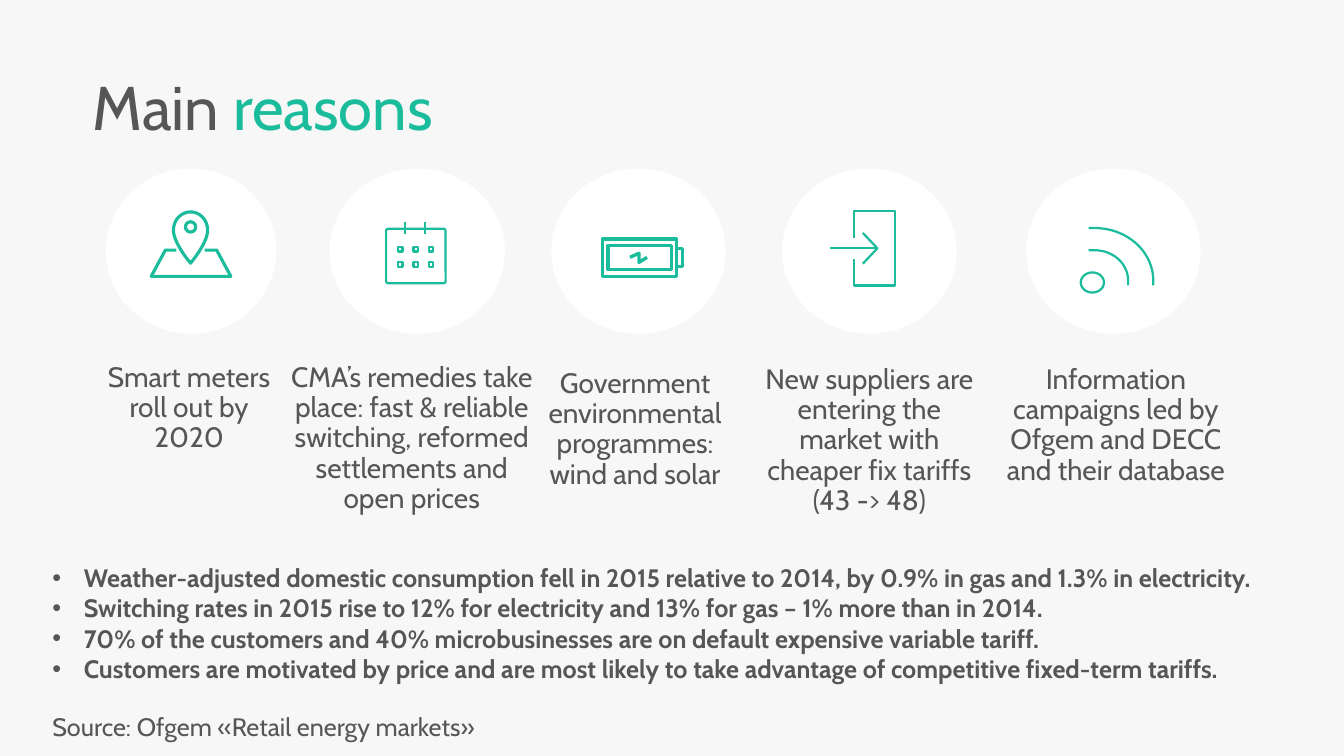
from math import cos, pi, sin

from lxml.etree import SubElement
from pptx import Presentation
from pptx.dml.color import RGBColor
from pptx.enum.shapes import MSO_SHAPE
from pptx.enum.text import PP_ALIGN
from pptx.oxml.ns import qn
from pptx.util import Pt

FONT, GREY, TEAL, WHITE, PAPER = "Cabin", "565656", "1ABC9C", "FFFFFF", "F7F7F7"


def color(value):
    """Turn a hex string into a colour."""
    return RGBColor.from_string(value)


def style(sp, fill=None, line=None, weight=1.6):
    """Give a shape its fill and line, without shadow."""
    sp.shadow.inherit = False
    if fill:
        sp.fill.solid()
        sp.fill.fore_color.rgb = color(fill)
    else:
        sp.fill.background()
    if line:
        sp.line.color.rgb = color(line)
        sp.line.width = Pt(weight)
    else:
        sp.line.fill.background()
    return sp


def preset(s, kind, x, y, w, h, **look):
    """Add a preset shape."""
    return style(s.shapes.add_shape(kind, Pt(x), Pt(y), Pt(w), Pt(h)), **look)


def stroke(s, x, y, points, weight=1.6, close=False):
    """Draw a teal line through points relative to x, y."""
    pts = [(Pt(x + px), Pt(y + py)) for px, py in points]
    builder = s.shapes.build_freeform(*pts[0])
    builder.add_line_segments(pts[1:], close=close)
    return style(builder.convert_to_shape(), line=TEAL, weight=weight)


def arc(cx, cy, rx, ry, start, end, steps=32):
    """List points along an elliptical arc, angles in half turns."""
    angles = [pi * (start + (end - start) * i / steps) for i in range(steps + 1)]
    return [(cx + rx * cos(a), cy + ry * sin(a)) for a in angles]


def bezier(a, b, c, d, steps=16):
    """List points along a cubic curve."""
    ts = [i / steps for i in range(steps + 1)]
    return [tuple((1 - t) ** 3 * p + 3 * t * (1 - t) ** 2 * q
                  + 3 * t * t * (1 - t) * u + t ** 3 * v
                  for p, q, u, v in zip(a, b, c, d)) for t in ts]


def map_pin(s, x, y):
    """Draw a pin standing on a map."""
    cx, cy, r, tip = 60.5, 44, 12.2, (60.5, 67.6)
    right = bezier((cx + r, cy), (cx + r, cy + 9.4), tip, tip)
    left = [(2 * cx - px, py) for px, py in reversed(right)]
    stroke(s, x, y, arc(cx, cy, r, 13, 1, 2) + right[1:] + left[1:-1], 2.25, True)
    preset(s, MSO_SHAPE.OVAL, x + cx - 3.7, y + 38, 7.4, 7.4, line=TEAL, weight=2.25)
    stroke(s, x, y, [(50.4, 58.3), (42.5, 58.3), (32.4, 77), (89.3, 77),
                     (79.2, 58.3), (70.6, 58.3)], 2.25)


def calendar(s, x, y):
    """Draw a calendar sheet with two rings and six days."""
    sp = preset(s, MSO_SHAPE.ROUNDED_RECTANGLE, x + 40.4, y + 43, 42.5, 39, line=TEAL)
    sp.adjustments[0] = 0.04
    for ring in (54, 68.4):
        stroke(s, x, y, [(ring, 38.2), (ring, 46.8)])
    for i in range(6):
        preset(s, MSO_SHAPE.RECTANGLE, x + 49 + i % 3 * 10.9, y + 56 + i // 3 * 10.9,
               3.2, 3.2, line=TEAL)


def battery(s, x, y):
    """Draw a charging battery."""
    for left, top, w, h in ((36.8, 50.4, 52.6, 26.6), (40.4, 54.8, 45.4, 17.3)):
        preset(s, MSO_SHAPE.RECTANGLE, x + left, y + top, w, h, line=TEAL, weight=2.38)
    stroke(s, x, y, [(90, 57), (93.6, 57), (93.6, 70), (90, 70)], 2.38)
    stroke(s, x, y, [(56.2, 63.4), (62.7, 60.5), (62.7, 67), (68.4, 63.4)], 2.38)


def entry_door(s, x, y):
    """Draw an arrow entering a door."""
    stroke(s, x, y, [(51.5, 49.4), (51.5, 30.6), (80.6, 30.6), (80.6, 83.6),
                     (51.5, 83.6), (51.5, 64.6)])
    stroke(s, x, y, [(33.9, 57), (67.7, 57)])
    stroke(s, x, y, [(57.6, 46), (68, 57), (57.6, 68)])


def signal(s, x, y):
    """Draw a dot sending two waves."""
    preset(s, MSO_SHAPE.OVAL, x + 39, y + 74.2, 16.6, 14.4, line=TEAL)
    for rx, ry in ((41.8, 37.5), (23.8, 21.6)):
        wave = arc(49, 80, rx, ry, 1.5, 2)
        stroke(s, x, y, [(44.6, 80 - ry)] + wave + [(49 + rx, 83.4)])


def text(s, x, y, w, h, paragraphs, size, align=PP_ALIGN.LEFT, spacing=None,
         before=None, bold=False, bullet=False):
    """Add a text box from paragraphs of (words, colour) runs."""
    tf = s.shapes.add_textbox(Pt(x), Pt(y), Pt(w), Pt(h)).text_frame
    tf.word_wrap = True
    tf.margin_left, tf.margin_right = 0, Pt(7.2)
    tf.margin_top = tf.margin_bottom = Pt(3.6)
    for i, runs in enumerate(paragraphs):
        p = tf.add_paragraph() if i else tf.paragraphs[0]
        p.alignment, p.line_spacing = align, spacing
        if before:
            p.space_before = Pt(before)
        for words, hue in runs:
            r = p.add_run()
            r.text = words
            r.font.name, r.font.size, r.font.bold = FONT, Pt(size), bold
            r.font.color.rgb = color(hue)
        if bullet:
            ppr = p._p.get_or_add_pPr()
            ppr.set("marL", str(Pt(22.5)))
            ppr.set("indent", str(-Pt(22.5)))
            SubElement(ppr, qn("a:buFont")).set("typeface", "Arial")
            SubElement(ppr, qn("a:buChar")).set("char", "•")


def title(s, x, y, w, h):
    """Place the two-coloured title."""
    text(s, x, y, w, h, [[("Main ", GREY), ("reasons", TEAL)]], 44,
         spacing=0.9, before=10)


def reasons(s, y):
    """Place the row of icon discs with their captions."""
    row = [
        (75.6, 121.7, map_pin, 68.4, 135.5, 140.4, ["Smart meters roll out by 2020"]),
        (235.4, 125.3, calendar, 206.6, 135.5, 182.2,
         ["CMA’s remedies take place: fast & reliable switching, "
          "reformed settlements and open prices"]),
        (393.8, 124.6, battery, 380.9, 139.8, 152.6,
         ["Government environmental programmes: wind and solar"]),
        (558.7, 124.6, entry_door, 541.4, 137, 166.3,
         ["New suppliers are entering the market with cheaper fix tariffs",
          "(43 -> 48)"]),
        (733, 124.6, signal, 715.7, 137, 169.9,
         ["Information campaigns led by Ofgem and DECC and their database"]),
    ]
    for x, w, icon, left, drop, width, lines in row:
        preset(s, MSO_SHAPE.OVAL, x, y, w, 118, fill=WHITE)
        icon(s, x, y)
        text(s, left, y + drop, width, 100, [[(line, GREY)] for line in lines], 20,
             PP_ALIGN.CENTER, 0.9)


def findings(s, x, y, w, h):
    """Place the bulleted findings and their source."""
    lines = [
        "Weather-adjusted domestic consumption fell in 2015 relative to 2014, "
        "by 0.9% in gas and 1.3% in electricity.",
        "Switching rates in 2015 rise to 12% for electricity and 13% for gas "
        "– 1% more than in 2014.",
        "70% of the customers and 40% microbusinesses are on default expensive "
        "variable tariff.",
        "Customers are motivated by price and are most likely to take advantage "
        "of competitive fixed-term tariffs.",
    ]
    text(s, x, y, w, h, [[(line, GREY)] for line in lines], 18, bold=True, bullet=True)
    text(s, x, y + 106.5, 381.6, 28.8,
         [[("Source: Ofgem «Retail energy markets»", GREY)]], 18)


prs = Presentation()
prs.slide_width, prs.slide_height = Pt(960), Pt(540)
s = prs.slides.add_slide(prs.slide_layouts[6])
s.background.fill.solid()
s.background.fill.fore_color.rgb = color(PAPER)
title(s, 66.2, 51.8, 352.8, 55.4)
reasons(s, 120.4)
findings(s, 37.4, 398.2, 869.8, 94.3)
prs.save("out.pptx")
